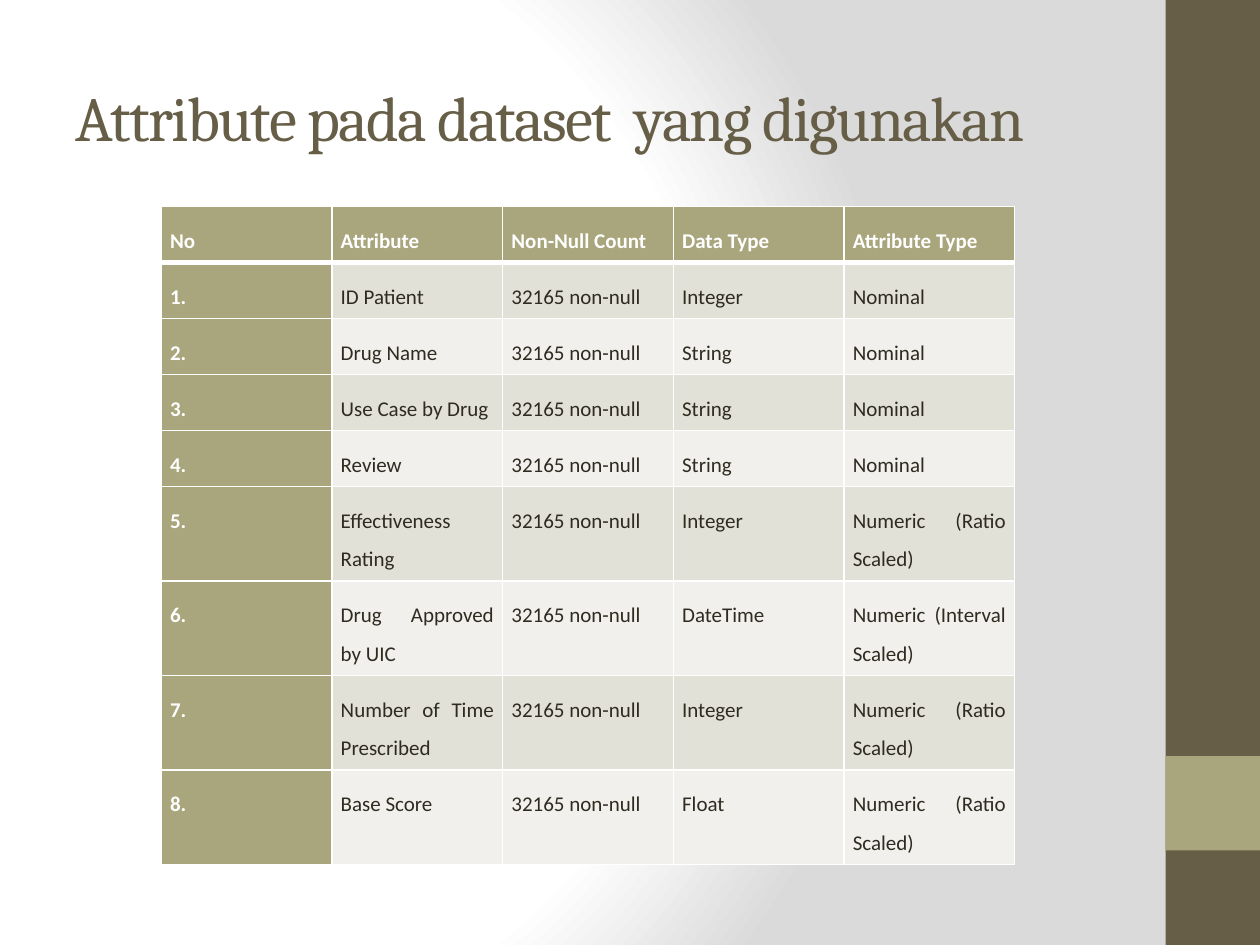
from dataclasses import dataclass

from lxml.etree import SubElement
from pptx import Presentation
from pptx.dml.color import RGBColor
from pptx.enum.shapes import MSO_SHAPE
from pptx.enum.text import MSO_ANCHOR, MSO_AUTO_SIZE, PP_ALIGN
from pptx.oxml import parse_xml
from pptx.oxml.ns import nsdecls, qn
from pptx.util import Inches, Pt


@dataclass(frozen=True)
class Theme:
    brown: str = "675E47"
    olive: str = "A9A57C"
    ink: str = "2F2B20"
    white: str = "FFFFFF"
    shade: str = "DADADA"
    bands: tuple = ("E2E1D7", "F1F0EC")
    title_font: str = "Cambria"
    body_font: str = "Calibri"
    title_size: int = 36
    body_size: int = 12


THEME = Theme()
HEADINGS = (
    "No", "Attribute\u00a0", "Non-Null Count\u00a0", "Data Type\u00a0", "Attribute Type",
)
COUNT = "32165 non-null"
RATIO = "Numeric (Ratio Scaled)"
ATTRIBUTES = (
    ("ID Patient", "Integer", "Nominal"),
    ("Drug Name", "String", "Nominal"),
    ("Use Case by Drug", "String", "Nominal"),
    ("Review", "String", "Nominal"),
    ("Effectiveness Rating", "Integer", RATIO),
    ("Drug Approved by UIC", "DateTime", "Numeric (Interval Scaled)"),
    ("Number of Time Prescribed", "Integer", RATIO),
    ("Base Score", "Float", RATIO),
)
COLUMN_WIDTH = 1.355
SINGLE_ROW, DOUBLE_ROW = 0.44, 0.75


def color(value):
    return RGBColor.from_string(value)


def set_background(slide):
    slide.background.fill.gradient()
    gradient = slide.element.find(".//" + qn("a:gradFill"))
    stops = ((0, THEME.white), (75000, THEME.white), (100000, THEME.shade))
    stop_xml = "".join(
        f'<a:gs pos="{position}"><a:srgbClr val="{value}"/></a:gs>'
        for position, value in stops
    )
    gradient.getparent().replace(gradient, parse_xml(
        f'<a:gradFill {nsdecls("a")} rotWithShape="1"><a:gsLst>{stop_xml}</a:gsLst>'
        '<a:path path="circle">'
        '<a:fillToRect l="20000" t="50000" r="100000" b="50000"/>'
        '</a:path></a:gradFill>'
    ))


def add_band(slide, top, height, fill):
    shape = slide.shapes.add_shape(
        MSO_SHAPE.RECTANGLE, Inches(9.25), Inches(top), Inches(0.75), Inches(height))
    shape.shadow.inherit = False
    shape.fill.solid()
    shape.fill.fore_color.rgb = color(fill)
    shape.line.fill.background()


def add_run(paragraph, text, font_name, size, value, bold=False):
    run = paragraph.add_run()
    run.text = text
    run.font.name = font_name
    run.font.size = Pt(size)
    run.font.bold = bold
    run.font.color.rgb = color(value)
    return run


def set_title(slide, text):
    title = slide.shapes.title
    title.left, title.top = Inches(0.5), Inches(0.3)
    title.width, title.height = Inches(8.33), Inches(1.25)
    frame = title.text_frame
    frame.word_wrap = True
    frame.auto_size = MSO_AUTO_SIZE.NONE
    frame.vertical_anchor = MSO_ANCHOR.MIDDLE
    paragraph = frame.paragraphs[0]
    paragraph.alignment = PP_ALIGN.LEFT
    run = add_run(paragraph, text, THEME.title_font, THEME.title_size, THEME.brown)
    run.font._element.set("spc", "-100")


def set_borders(cell, widths):
    properties = cell._tc.get_or_add_tcPr()
    for side, width in zip("LRTB", widths):
        line = SubElement(properties, qn(f"a:ln{side}"), w=str(Pt(width)))
        fill = SubElement(line, qn("a:solidFill"))
        SubElement(fill, qn("a:srgbClr"), val=THEME.white)


def fill_cell(cell, text, row, column):
    emphasized = row == 0 or column == 0
    set_borders(cell, (1, 1, 3 if row == 1 else 1, 3 if row == 0 else 1))
    cell.fill.solid()
    cell.fill.fore_color.rgb = color(
        THEME.olive if emphasized else THEME.bands[(row - 1) % 2])
    cell.margin_left = cell.margin_right = Inches(0.07)
    cell.margin_top = cell.margin_bottom = Inches(0.07)
    paragraph = cell.text_frame.paragraphs[0]
    paragraph.alignment = PP_ALIGN.JUSTIFY
    paragraph.line_spacing = 1.5
    paragraph.space_after = Pt(0.1)
    add_run(paragraph, text, THEME.body_font, THEME.body_size,
            THEME.white if emphasized else THEME.ink, emphasized)


def add_attribute_table(slide):
    rows = [HEADINGS] + [
        (f"{number}.", name, COUNT, data_type, attribute_type)
        for number, (name, data_type, attribute_type) in enumerate(ATTRIBUTES, 1)
    ]
    heights = [DOUBLE_ROW if row[-1].startswith("Numeric") else SINGLE_ROW for row in rows]
    table = slide.shapes.add_table(
        len(rows), len(HEADINGS), Inches(1.28), Inches(1.64),
        Inches(COLUMN_WIDTH * len(HEADINGS)), Inches(sum(heights))).table
    for column in table.columns:
        column.width = Inches(COLUMN_WIDTH)
    for row_index, (texts, height) in enumerate(zip(rows, heights)):
        table.rows[row_index].height = Inches(height)
        for column_index, text in enumerate(texts):
            fill_cell(table.cell(row_index, column_index), text, row_index, column_index)


def main():
    presentation = Presentation()
    presentation.slide_width, presentation.slide_height = Inches(10), Inches(7.5)
    slide = presentation.slides.add_slide(presentation.slide_layouts[5])
    set_background(slide)
    add_band(slide, 0, 7.5, THEME.brown)
    add_band(slide, 6, 0.75, THEME.olive)
    set_title(slide, "Attribute pada dataset  yang digunakan")
    add_attribute_table(slide)
    presentation.save("out.pptx")


main()
